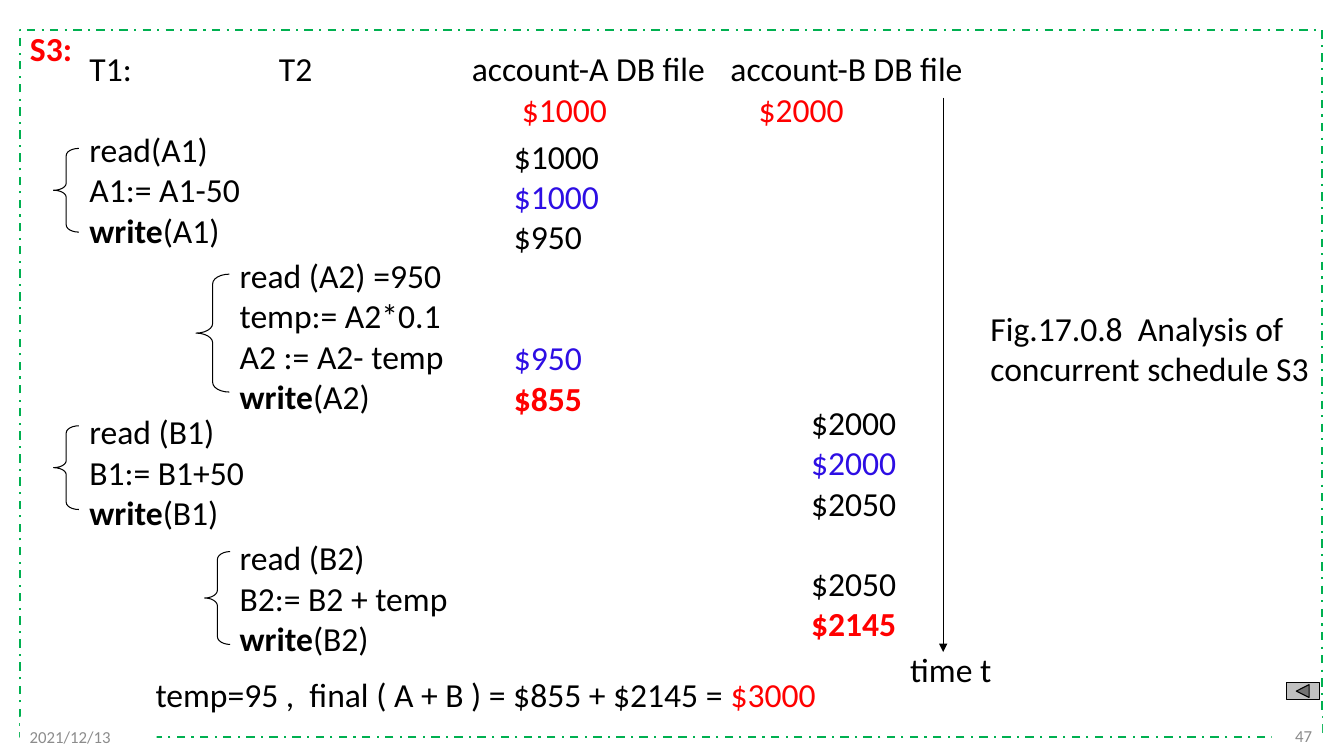
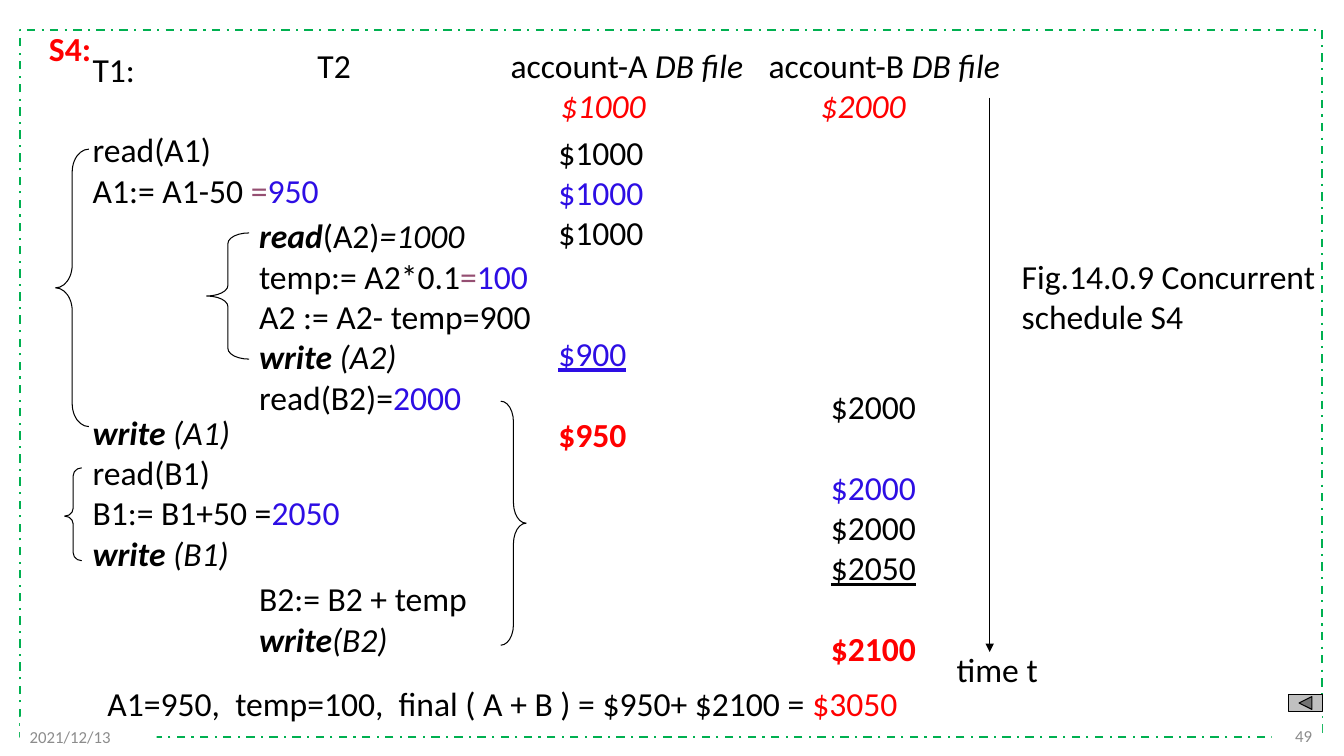
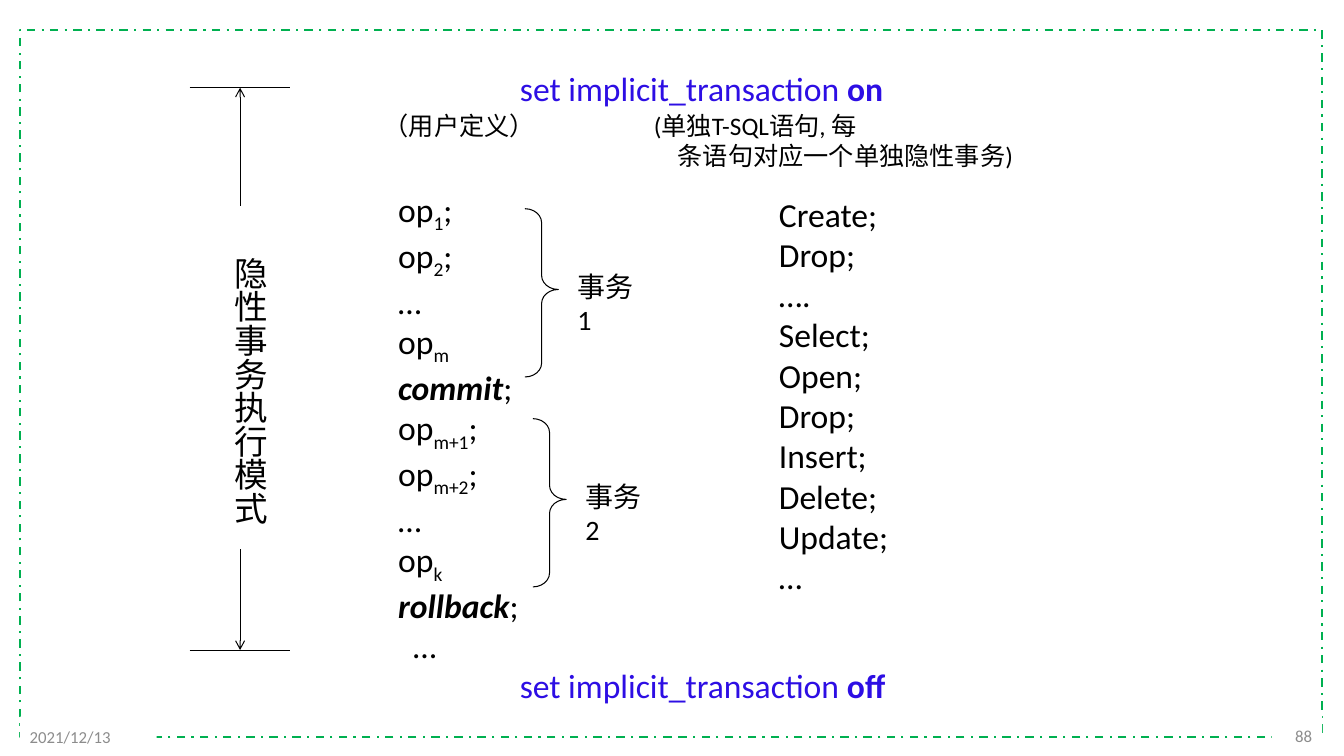
import lxml.etree
import pptx
import pptx.dml.color
import pptx.enum.dml
import pptx.enum.shapes
import pptx.enum.text
import pptx.oxml.ns
import pptx.util

COLORS = {
    "black": "000000",
    "white": "FFFFFF",
    "red": "FF0000",
    "blue": "2D0EE4",
    "plum": "954F72",
    "frame": "00B050",
    "footer": "8C8C8C",
    "button": "C0C0C0",
}
FONT = "Calibri"
LINE_PT = 28.8
Cm = pptx.util.Cm
Pt = pptx.util.Pt
SHAPE = pptx.enum.shapes.MSO_SHAPE
ANCHOR = pptx.enum.text.MSO_ANCHOR
ALIGN = pptx.enum.text.PP_ALIGN
qn = pptx.oxml.ns.qn


def rgb(name):
    return pptx.dml.color.RGBColor.from_string(COLORS[name])


def run(text, **fmt):
    return text, fmt


def para(*runs, skip=0, indent=0):
    return runs, skip, indent


def keyword(word, rest, **fmt):
    return para(run(word, bold=True, **fmt), run(rest, **fmt))


def op(index, end=""):
    return para("op", run(index, sub=True), end)


def keyword_last(state):
    return para("set implicit_transaction ", run(state, bold=True))


def keyword_end(word):
    return para(run(word, bold=True, italic=True), ";")


def write(tf, lines, align=ALIGN.LEFT, anchor=ANCHOR.TOP, size=24, color="black",
          bold=False, italic=False):
    tf.word_wrap = True
    tf.auto_size = pptx.enum.text.MSO_AUTO_SIZE.NONE
    tf.vertical_anchor = anchor
    for n, line in enumerate(lines):
        runs, skip, indent = para(line) if isinstance(line, str) else line
        p = tf.add_paragraph() if n else tf.paragraphs[0]
        pPr = p._p.get_or_add_pPr()
        pPr.set("marL", str(Cm(indent)))
        pPr.set("indent", "0")
        lxml.etree.SubElement(pPr, qn("a:buNone"))
        p.alignment = align
        p.space_before = Pt(LINE_PT * skip)
        for part in runs:
            text, fmt = run(part) if isinstance(part, str) else part
            if not text:
                continue
            r = p.add_run()
            r.text = text
            r.font.name = FONT
            r.font.size = Pt(size)
            r.font.bold = fmt.get("bold", bold)
            r.font.italic = fmt.get("italic", italic)
            r.font.underline = fmt.get("underline", False)
            r.font.color.rgb = rgb(fmt.get("color", color))
            if fmt.get("sub"):
                r._r.get_or_add_rPr().set("baseline", "-25000")


def text(s, x, y, w, h, *lines, **fmt):
    sp = s.shapes.add_textbox(Cm(x), Cm(y), Cm(w), Cm(h))
    write(sp.text_frame, lines, **fmt)
    return sp


def fill_placeholder(sp, x, y, w, h, *lines, **fmt):
    sp.left, sp.top, sp.width, sp.height = Cm(x), Cm(y), Cm(w), Cm(h)
    write(sp.text_frame, lines, **fmt)


def shape(s, kind, x, y, w, h, fill=None, line="black", width=0.75):
    sp = s.shapes.add_shape(kind, Cm(x), Cm(y), Cm(w), Cm(h))
    sp.shadow.inherit = False
    if fill:
        sp.fill.solid()
        sp.fill.fore_color.rgb = rgb(fill)
    else:
        sp.fill.background()
    if line:
        sp.line.color.rgb = rgb(line)
        sp.line.width = Pt(width)
    else:
        sp.line.fill.background()
    return sp


def brace(s, x, y, w, h, curve, middle=0.5, kind=SHAPE.LEFT_BRACE):
    sp = shape(s, kind, x, y, w, h)
    sp.adjustments[0] = curve
    sp.adjustments[1] = middle


def line(s, x1, y1, x2, y2, head=None):
    c = s.shapes.add_connector(pptx.enum.shapes.MSO_CONNECTOR.STRAIGHT,
                               Cm(x1), Cm(y1), Cm(x2), Cm(y2))
    c.line.color.rgb = rgb("black")
    c.line.width = Pt(0.75)
    spPr = c._element.spPr
    if head:
        lxml.etree.SubElement(spPr.find(qn("a:ln")), qn("a:tailEnd"), type=head)
    lxml.etree.SubElement(spPr, qn("a:effectLst"))


def footer(s, x, y, w, label, align=ALIGN.LEFT):
    sp = shape(s, SHAPE.RECTANGLE, x, y, w, 1.02, fill="white", line=None)
    write(sp.text_frame, [label], align=align, anchor=ANCHOR.MIDDLE,
          size=12, color="footer")
    return sp


def decorate_layout(s):
    frame = shape(s, SHAPE.RECTANGLE, 0.5, 0.76, 32.82, 17.81, line="frame", width=1.5)
    frame.line.dash_style = pptx.enum.dml.MSO_LINE.DASH_DOT
    date = footer(s, 0.5, 18.06, 3.45, "2021/12/13")
    for n, sp in enumerate((frame, date)):
        s.slide_layout.shapes.element.insert(2 + n, sp.element)


def new_slide(prs, number):
    s = prs.slides.add_slide(prs.slide_layouts[1])
    if len(prs.slides) == 1:
        decorate_layout(s)
    footer(s, 32.05, 18.03, 1.27, number, align=ALIGN.RIGHT)
    return s


def headings(s, y, columns, amounts):
    for x, *runs in columns:
        text(s, x, y, 6.6, 1.27, para(*runs))
    for x, amount, italic in amounts:
        text(s, x, y + 1.02, 3.4, 1.27, amount, color="red", italic=italic)


def time_axis(s, x):
    line(s, x, 2.46, x, 16.43, head="triangle")
    text(s, x - 1.08, 16.23, 2.8, 1.27, "time t")


def back_button(s, x, y):
    shape(s, SHAPE.ACTION_BUTTON_BACK_OR_PREVIOUS, x, y, 0.84, 0.43, fill="button")


def schedule_s3(prs):
    s = new_slide(prs, "47")
    fill_placeholder(s.shapes.title, 0.5, 0.58, 1.9, 1.27, "S3:", color="red", bold=True)
    fill_placeholder(
        s.placeholders[1], 2, 1.09, 5, 12.57,
        "T1:",
        para("read(A1)", skip=1), "A1:= A1-50", keyword("write", "(A1)"),
        para("read (B1)", skip=4), "B1:= B1+50", keyword("write", "(B1)"))
    text(s, 5.79, 6.3, 6, 10.52,
         "read (A2) =950", "temp:= A2*0.1", "A2 := A2- temp", keyword("write", "(A2)"),
         para("read (B2)", skip=3), "B2:= B2 + temp", keyword("write", "(B2)"))
    headings(s, 1.09,
             [(6.78, "T2"), (11.64, "account-A DB file"), (18.16, "account-B DB file")],
             [(12.9, "$1000", False), (18.87, "$2000", False)])
    text(s, 12.7, 3.29, 3.2, 7.44,
         "$1000", para(run("$1000", color="blue")), "$950",
         para(run("$950", color="blue"), skip=2),
         para(run("$855", color="red", bold=True)))
    text(s, 20.19, 10, 3.45, 6.48,
         "$2000", para(run("$2000", color="blue")), "$2050",
         para("$2050", skip=1), para(run("$2145", color="red", bold=True)))
    text(s, 3.67, 16.85, 18, 1.27,
         para("temp=95 ,  final ( A + B ) = $855 + $2145 = ", run("$3000", color="red")))
    for y in (3.74, 10.73):
        brace(s, 1.35, y, 0.64, 2.11, 0.28)
    brace(s, 4.94, 6.91, 0.84, 2.97, 0.29)
    brace(s, 5.16, 13.9, 0.64, 2.34, 0.31)
    text(s, 24.71, 7.63, 8.61, 2.31, "Fig.17.0.8  Analysis of concurrent schedule S3")
    back_button(s, 32.41, 17.2)
    time_axis(s, 23.77)


def schedule_s4(prs):
    s = new_slide(prs, "49")
    fill_placeholder(s.shapes.title, 0.98, 0.58, 1.9, 1.27, "S4:", color="red", bold=True)
    write_a1 = para(run("write", bold=True, italic=True), run(" (A1)", italic=True), skip=5)
    fill_placeholder(
        s.placeholders[1], 2.08, 1.1, 6.8, 13.59,
        "T1:",
        para("read(A1)", skip=1),
        para("A1:= A1-50 ", run("=", color="plum"), run("950", color="blue")),
        write_a1,
        "read(B1)",
        para("B1:= B1+50 =", run("2050", color="blue")),
        keyword("write", " (B1)", italic=True))
    text(s, 6.28, 5.3, 8.61, 11.53,
         para(run("read", bold=True, italic=True), "(A2)", run("=1000", italic=True)),
         para("temp:= A2*0.1", run("=", color="plum"), run("100", color="blue")),
         "A2 := A2- temp=900",
         keyword("write", " (A2)", italic=True),
         para("read(B2)=", run("2000", color="blue")),
         para("B2:= B2 + temp", skip=4),
         keyword("write", "(B2)", italic=True))
    db_file = run("DB file", italic=True)
    headings(s, 1,
             [(7.75, "T2"), (12.62, "account-A ", db_file), (19.12, "account-B ", db_file)],
             [(13.88, "$1000", True), (20.43, "$2000", True)])
    text(s, 13.82, 3.19, 3.07, 8.46,
         "$1000", para(run("$1000", color="blue")), "$1000",
         para(run("$900", color="blue", underline=True), skip=2),
         para(run("$950", color="red", bold=True), skip=1))
    text(s, 20.69, 9.6, 3.45, 7.5,
         "$2000", para(run("$2000", color="blue"), skip=1), "$2000",
         para(run("$2050", underline=True)),
         para(run("$2100", color="red", bold=True), skip=1))
    text(s, 2.46, 17.09, 21.5, 1.27,
         para("A1=950,  temp=100,  final ( A + B ) = $950+ $2100 = ",
              run("$3050", color="red")))
    brace(s, 1.4, 3.76, 0.84, 6.99, 0.69)
    brace(s, 5.21, 5.87, 1.07, 3.18, 0.25)
    brace(s, 1.63, 11.79, 0.43, 2.34, 0.46, 0.52)
    brace(s, 12.62, 10.11, 0.64, 6.15, 0.81, kind=SHAPE.RIGHT_BRACE)
    text(s, 25.5, 6.32, 8.3, 2.31, "Fig.14.0.9 Concurrent schedule S4")
    back_button(s, 32.48, 17.5)
    time_axis(s, 24.94)


def implicit_transactions(prs):
    s = new_slide(prs, "88")
    fill_placeholder(s.shapes.title, 12.85, 1.58, 10.5, 1.27,
                     keyword_last("on"), color="blue")
    text(s, 12.85, 16.62, 10.5, 1.27, keyword_last("off"), color="blue")
    fill_placeholder(
        s.placeholders[1], 9.78, 4.63, 5, 12,
        op("1", ";"), op("2", ";"), "…", op("m"), keyword_end("commit"),
        op("m+1", ";"), op("m+2", ";"), "…", op("k"), keyword_end("rollback"),
        para("…", indent=0.38))
    for y in (2.21, 16.38):
        line(s, 4.78, y, 7.32, y)
    line(s, 6.05, 13.84, 6.05, 16.38, head="arrow")
    line(s, 6.05, 5.18, 6.05, 2.21, head="arrow")
    mode = text(s, 5.38, 6.22, 1.55, 7.6, "隐性事务执行模式")
    mode.text_frame._txBody.bodyPr.set("vert", "eaVert")
    for n, label in enumerate(("事务1", "事务2")):
        dx, dy = 0.2 * n, 5.29 * n
        brace(s, 13.23 + dx, 5.26 + dy, 0.84, 4.24, 0.42, 0.48, kind=SHAPE.RIGHT_BRACE)
        text(s, 14.3 + dx, 6.66 + dy, 2.25, 1.9, label, size=20)
    text(s, 9.42, 2.66, 5, 1, "（用户定义）", size=18)
    text(s, 16.23, 2.66, 11, 1.8,
         "(单独T-SQL语句, 每", para("条语句对应一个单独隐性事务)", indent=0.6), size=18)
    text(s, 19.38, 4.75, 4, 11.53,
         "Create;", "Drop;", "….", "Select;", "Open;",
         "Drop;", "Insert;", "Delete;", "Update;", "…")


def main():
    prs = pptx.Presentation()
    prs.slide_width, prs.slide_height = Cm(33.87), Cm(19.05)
    schedule_s3(prs)
    schedule_s4(prs)
    implicit_transactions(prs)
    prs.save("out.pptx")


if __name__ == "__main__":
    main()
